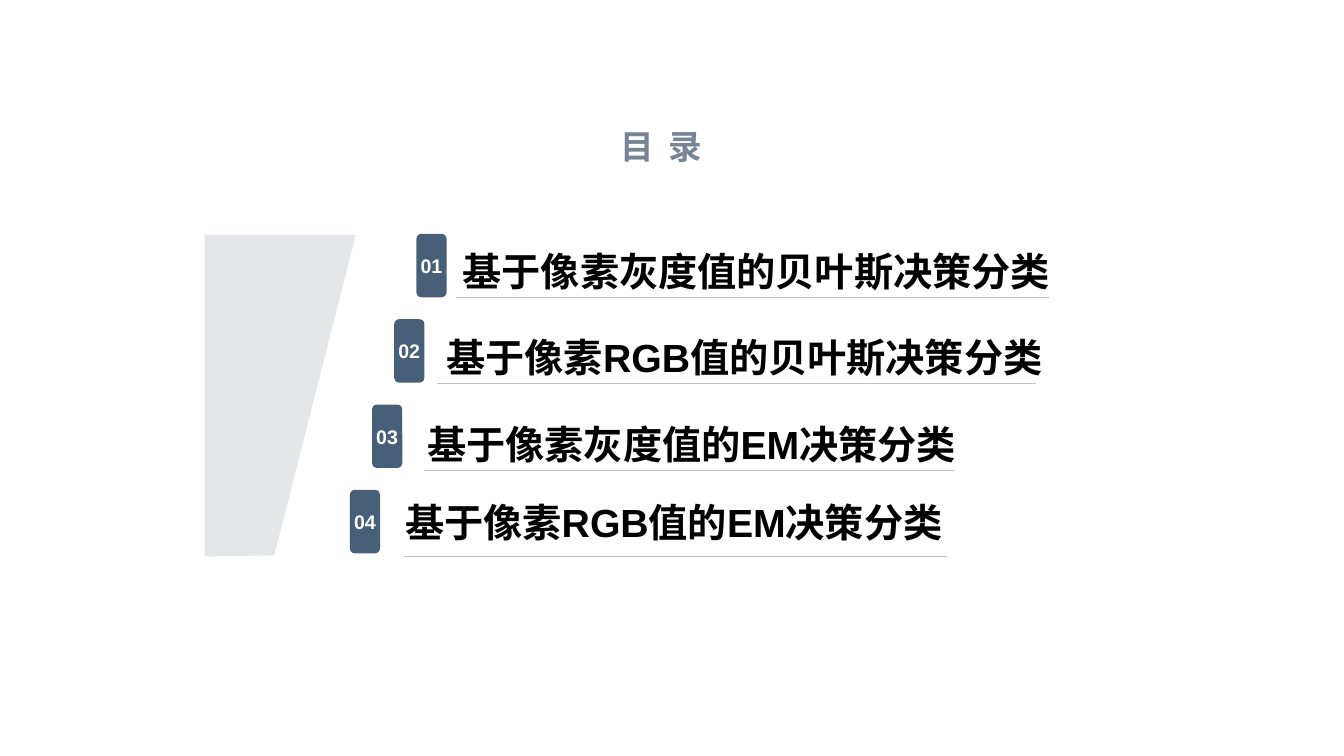
import pptx
import pptx.util
import pptx.dml.color
import pptx.enum.shapes
import pptx.enum.text
import lxml.etree
from pptx.util import Inches

COLORS = {
    "panel": "E4E6EA",
    "title": "778495",
    "badge": "475F77",
    "badge_text": "FFFFFF",
    "topic": "000000",
    "rule": "BFBFBF",
}


def color(name):
    return pptx.dml.color.RGBColor.from_string(COLORS[name])


def write(shape, text, size, color_name, alignment):
    frame = shape.text_frame
    frame.word_wrap = False
    frame.vertical_anchor = pptx.enum.text.MSO_ANCHOR.MIDDLE
    paragraph = frame.paragraphs[0]
    paragraph.alignment = alignment
    run = paragraph.add_run()
    run.text = text
    run.font.name = "Arial"
    run.font.size = pptx.util.Pt(size)
    run.font.bold = True
    run.font.color.rgb = color(color_name)
    return run


LEFT = pptx.enum.text.PP_ALIGN.LEFT
CENTER = pptx.enum.text.PP_ALIGN.CENTER

presentation = pptx.Presentation()
presentation.slide_width = Inches(13.33)
presentation.slide_height = Inches(7.5)
slide = presentation.slides.add_slide(presentation.slide_layouts[6])
shapes = slide.shapes

builder = shapes.build_freeform(Inches(2.03), Inches(2.33))
builder.add_line_segments(
    [(Inches(x), Inches(y)) for x, y in [(3.53, 2.33), (2.72, 5.51), (2.03, 5.52)]]
)
panel = builder.convert_to_shape()
panel.shadow.inherit = False
panel.fill.solid()
panel.fill.fore_color.rgb = color("panel")
panel.line.fill.background()

title = shapes.add_textbox(Inches(6.06), Inches(0.92), Inches(1.67), Inches(1.06))
title_run = write(title, "目 录", 24, "title", LEFT)
title_run.font._element.set("spc", "240")

topics = [
    ("基于像素灰度值的贝叶斯决策分类", 4.49, 2.24, 6.2, 0.89, 4.52, 10.4),
    ("基于像素RGB值的贝叶斯决策分类", 4.33, 3.08, 6.4, 0.92, 4.33, 10.28),
    ("基于像素灰度值的EM决策分类", 4.14, 4.05, 5.8, 0.7, 4.21, 9.46),
    ("基于像素RGB值的EM决策分类", 3.92, 4.83, 6.0, 0.7, 4.01, 9.39),
]

for index, (text, left, top, width, height, rule_left, rule_right) in enumerate(topics):
    topic = shapes.add_textbox(Inches(left), Inches(top), Inches(width), Inches(height))
    write(topic, text, 28, "topic", LEFT)

    badge = shapes.add_shape(
        pptx.enum.shapes.MSO_SHAPE.ROUNDED_RECTANGLE,
        Inches(4.13 - 0.22 * index), Inches(2.32 + 2.54 * index / 3),
        Inches(0.3), Inches(0.63),
    )
    badge.shadow.inherit = False
    badge.fill.solid()
    badge.fill.fore_color.rgb = color("badge")
    badge.line.fill.background()
    write(badge, f"{index + 1:02d}", 14, "badge_text", CENTER)

    rule_top = Inches(2.95 + 2.57 * index / 3)
    rule = shapes.add_connector(
        pptx.enum.shapes.MSO_CONNECTOR.STRAIGHT,
        Inches(rule_left), rule_top, Inches(rule_right), rule_top,
    )
    rule.line.color.rgb = color("rule")
    rule.line.width = pptx.util.Pt(0.25)
    lxml.etree.SubElement(rule._element.spPr, pptx.oxml.ns.qn("a:effectLst"))

presentation.save("out.pptx")
